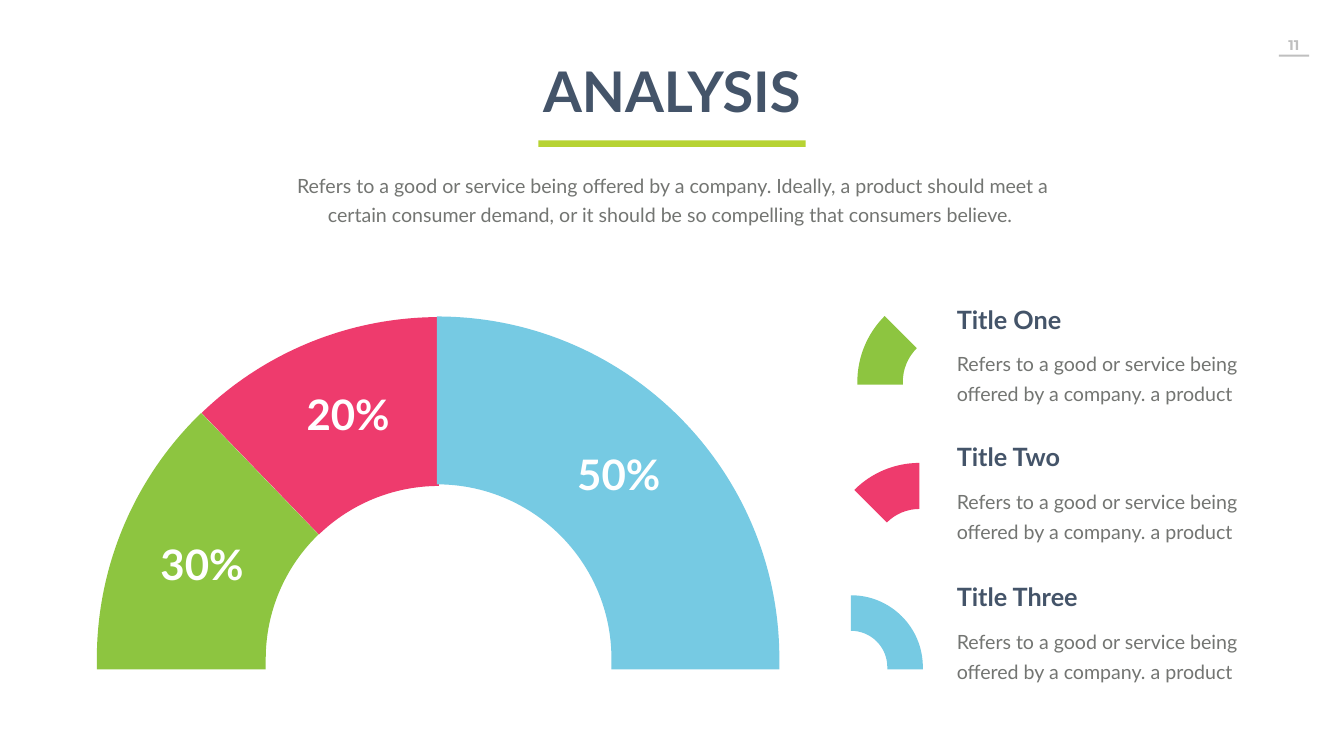
"""Build the analysis slide with a half ring of shares and its legend."""
from dataclasses import dataclass
from math import cos, radians, sin, tan

from lxml import etree
from pptx import Presentation
from pptx.dml.color import RGBColor
from pptx.enum.shapes import MSO_SHAPE
from pptx.enum.text import MSO_ANCHOR, PP_ALIGN
from pptx.oxml.ns import qn
from pptx.util import Cm, Pt

RECT = MSO_SHAPE.RECTANGLE
TOP = MSO_ANCHOR.TOP
LEFT, MID = PP_ALIGN.LEFT, PP_ALIGN.CENTER


@dataclass(frozen=True)
class Theme:
    font: str = "Lato"
    page_font: str = "Montserrat"
    ink: str = "445469"
    body: str = "737572"
    pale: str = "BFBFBF"
    white: str = "FFFFFF"
    lime: str = "B7D333"
    green: str = "8DC540"
    pink: str = "EE3B6D"
    blue: str = "76CAE3"
    title_size: int = 80
    share_size: int = 60
    head_size: int = 36
    body_size: int = 28
    page_size: int = 20


THEME = Theme()
BLURB = "Refers to a good or service being offered by a company. a product"
INTRO = (
    "Refers to a good or service being offered by a company. Ideally, a product "
    "should meet a certain consumer demand, or it should be so compelling that "
    "consumers believe. "
)


def paint(shape, color):
    shape.shadow.inherit = False
    shape.fill.solid()
    shape.fill.fore_color.rgb = RGBColor.from_string(color)
    shape.line.fill.background()


def add_bar(slide, x, y, w, h, color):
    paint(slide.shapes.add_shape(RECT, Cm(x), Cm(y), Cm(w), Cm(h)), color)


def add_text(slide, text, x, y, w, h, *, size, color, bold=False, align=LEFT,
             font=THEME.font, pad=(0.25, 0.13), lead=None, before=None, wrap=True):
    frame = slide.shapes.add_textbox(Cm(x), Cm(y), Cm(w), Cm(h)).text_frame
    frame.word_wrap = wrap
    frame.vertical_anchor = TOP
    frame.margin_left = frame.margin_right = Cm(pad[0])
    frame.margin_top = frame.margin_bottom = Cm(pad[1])
    para = frame.paragraphs[0]
    para.alignment = align
    if lead:
        para.line_spacing = Pt(lead)
    if before:
        para.space_before = Pt(before)
    run = para.add_run()
    run.text = text
    run.font.name, run.font.size, run.font.bold = font, Pt(size), bold
    run.font.color.rgb = RGBColor.from_string(color)


def trace_arc(x, y, radius, start, end):
    """Return the four Bezier points of an arc within one quadrant."""
    a, b = radians(start), radians(end)
    pull = 4 / 3 * tan((b - a) / 4)
    points = (
        (cos(a), sin(a)),
        (cos(a) - pull * sin(a), sin(a) + pull * cos(a)),
        (cos(b) + pull * sin(b), sin(b) - pull * cos(b)),
        (cos(b), sin(b)),
    )
    return [(x + radius * px, y - radius * py) for px, py in points]


def bend(lines):
    """Turn three straight path steps into one cubic curve."""
    curve = etree.Element(qn("a:cubicBezTo"))
    lines[0].addprevious(curve)
    for line in lines:
        curve.append(line[0])
        line.getparent().remove(line)


def add_wedge(slide, x, y, outer, inner, start, end, drop, color):
    rim = trace_arc(x, y, outer, start, end)
    hole = trace_arc(x, y, inner, end, start)
    foot = []
    if drop:
        side = -1 if start == 180 else 1
        foot = [(x + side * r, y + drop) for r in (outer, inner)]
    if start == 180:
        points = rim + hole + foot[::-1]
        back = 4
    else:
        points = rim + foot + hole
        back = 4 + len(foot)
    spots = [(Cm(px), Cm(py)) for px, py in points]
    pen = slide.shapes.build_freeform(*spots[0])
    pen.add_line_segments(spots[1:], close=True)
    shape = pen.convert_to_shape()
    lines = shape._element.xpath(".//a:lnTo")
    bend(lines[:3])
    bend(lines[back:back + 3])
    paint(shape, color)


def add_header(slide):
    add_text(slide, "11", 64, 1.57, 2.4, 1.37, size=THEME.page_size,
             color=THEME.pale, bold=True, align=MID, font=THEME.page_font,
             pad=(0.5, 0.25), wrap=False)
    add_bar(slide, 64.44, 2.75, 1.52, 0.1, THEME.pale)
    add_text(slide, INTRO, 14.48, 8.4, 38.81, 3.02, size=THEME.body_size,
             color=THEME.body, align=MID, lead=40.8)
    add_bar(slide, 27.13, 7.07, 13.46, 0.33, THEME.lime)
    add_text(slide, "ANALYSIS", 25.37, 2.74, 16.97, 3.68, size=THEME.title_size,
             color=THEME.ink, bold=True, align=MID)


def add_ring(slide):
    wedges = (
        (22.12, 17.22, 8.71, 134, 90, 0, THEME.pink),
        (22.1, 17.22, 8.71, 180, 134, 0.53, THEME.green),
        (22.02, 17.25, 8.79, 90, 0, 0.53, THEME.blue),
    )
    for x, outer, inner, start, end, drop, color in wedges:
        add_wedge(slide, x, 33.2, outer, inner, start, end, drop, color)


def add_legend(slide):
    rows = (
        ("Title One", 15.19, (47.9, 19.25, 4.7, 2.41, 180, 135, 0.13), THEME.green),
        ("Title Two", 22.12, (46.33, 27.97, 4.64, 2.32, 135, 90, 0), THEME.pink),
        ("Title Three", 29.16, (42.88, 33.62, 3.62, 1.83, 90, 0, 0.11), THEME.blue),
    )
    for head, y, wedge, color in rows:
        add_wedge(slide, *wedge, color)
        add_text(slide, BLURB, 47.6, y + 1.93, 15.82, 3.5, size=THEME.body_size,
                 color=THEME.body, pad=(0.61, 0.3), lead=43, before=5.6)
        add_text(slide, head, 47.96, y, 13.06, 1.8, size=THEME.head_size,
                 color=THEME.ink, bold=True)


def add_shares(slide):
    shares = (("30%", 6.28, 27.02), ("20%", 13.64, 19.47), ("50%", 27.28, 22.49))
    for label, x, y in shares:
        add_text(slide, label, x, y, 7.8, 2.82, size=THEME.share_size,
                 color=THEME.white, bold=True, align=MID)


def main():
    deck = Presentation()
    deck.slide_width, deck.slide_height = Cm(67.72), Cm(38.1)
    slide = deck.slides.add_slide(deck.slide_layouts[6])
    add_header(slide)
    add_ring(slide)
    add_legend(slide)
    add_shares(slide)
    deck.save("out.pptx")


if __name__ == "__main__":
    main()
